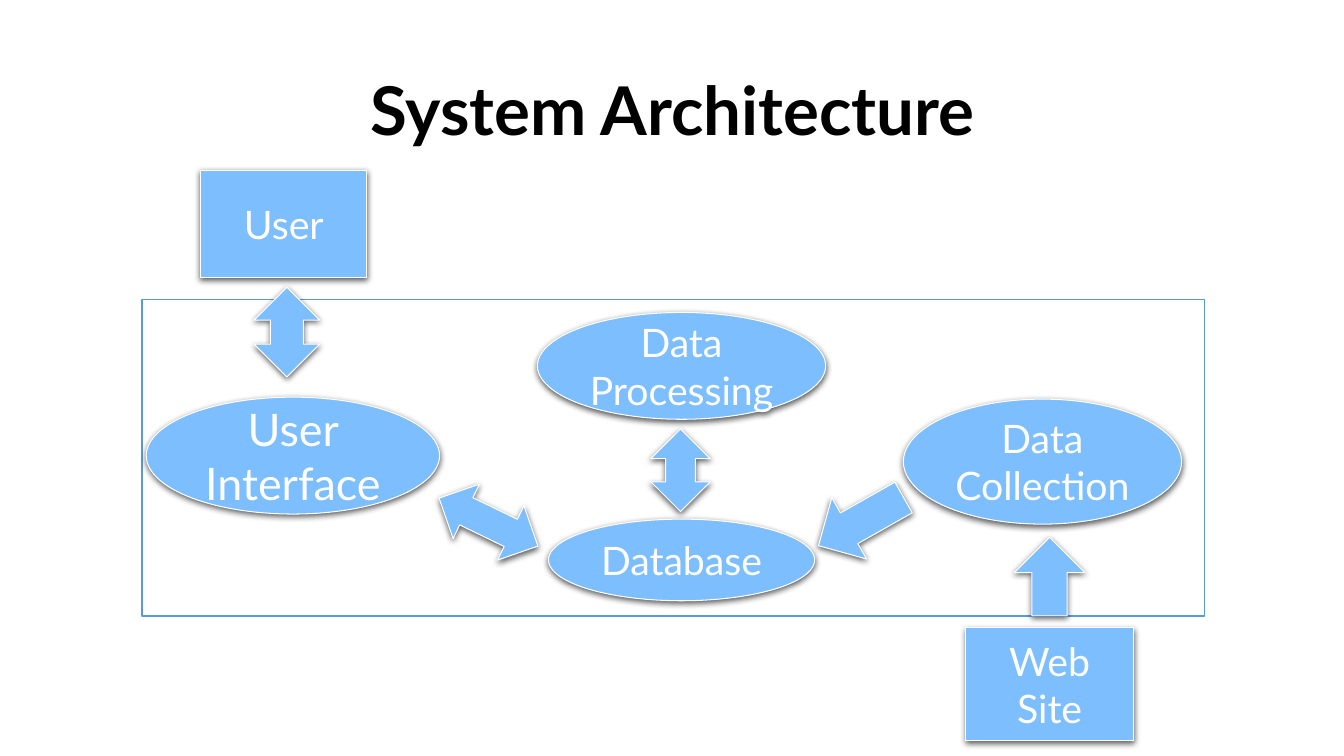
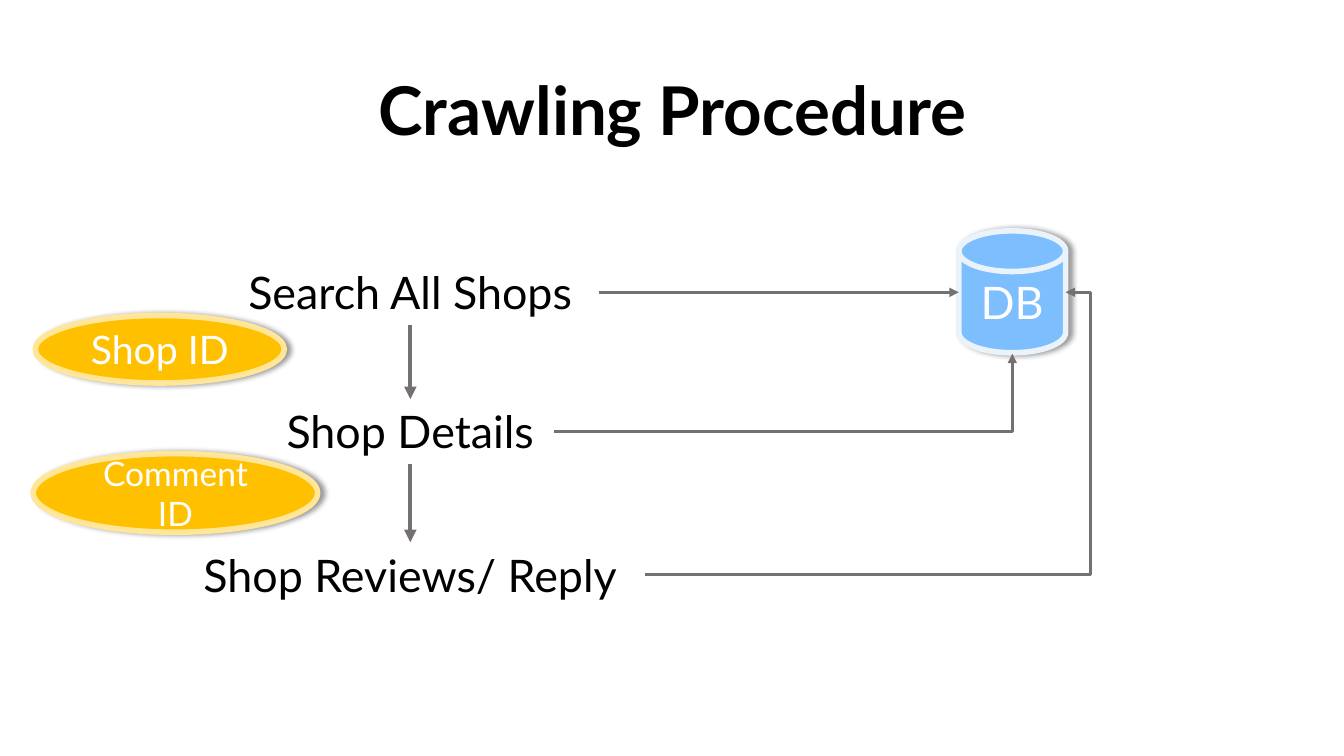
from lxml.etree import SubElement
from pptx import Presentation
from pptx.dml.color import RGBColor
from pptx.enum.shapes import MSO_CONNECTOR, MSO_SHAPE
from pptx.enum.text import MSO_ANCHOR, PP_ALIGN
from pptx.oxml.ns import qn
from pptx.util import Pt

PX = 9144
FONT = "Lato"
COLORS = {
    "black": "000000",
    "white": "FFFFFF",
    "blue": "7DBEFF",
    "frame": "5B9BD5",
    "pale_blue": "EAF2FA",
    "amber": "FFC000",
    "pale_amber": "FFE699",
    "gray": "767171",
}
SHADOWS = {
    "below": {"blur": 4.5, "distance": 1.5, "angle": 90, "opacity": 63},
    "right": {"blur": 4, "distance": 3, "angle": 0, "opacity": 40},
}


def color(name):
    return RGBColor.from_string(COLORS[name])


class Deck:
    """Holds the shared style and the current slide, and draws its elements."""

    def __init__(self, width, height):
        self.presentation = Presentation()
        self.presentation.slide_width = width * PX
        self.presentation.slide_height = height * PX
        self.slide = None

    def add_slide(self, title):
        layout = self.presentation.slide_layouts[6]
        self.slide = self.presentation.slides.add_slide(layout)
        box = self.label((92, 40, 1150, 145), title, 48, bold=True)
        box.text_frame.vertical_anchor = MSO_ANCHOR.MIDDLE
        box.text_frame.paragraphs[0].line_spacing = 0.9

    def set_text(self, shape, text, size, color_name, bold=False):
        shape.text_frame.text = text
        shape.text_frame.word_wrap = True
        for paragraph in shape.text_frame.paragraphs:
            paragraph.alignment = PP_ALIGN.CENTER
            for run in paragraph.runs:
                run.font.name = FONT
                run.font.size = Pt(size)
                run.font.bold = bold
                run.font.color.rgb = color(color_name)

    def label(self, bounds, text, size=32, bold=False):
        box = self.slide.shapes.add_textbox(*(value * PX for value in bounds))
        self.set_text(box, text, size, "black", bold)
        return box

    def shape(self, kind, bounds, text="", size=28, fill="blue", line="white",
              line_width=0.75, shadow="below", rotation=0):
        shape = self.slide.shapes.add_shape(kind, *(value * PX for value in bounds))
        shape.rotation = rotation
        shape.fill.solid()
        shape.fill.fore_color.rgb = color(fill)
        shape.line.color.rgb = color(line)
        shape.line.width = Pt(line_width)
        shape.shadow.inherit = False
        if shadow:
            self.cast_shadow(shape, **SHADOWS[shadow])
        if text:
            shape.text_frame.vertical_anchor = MSO_ANCHOR.MIDDLE
            self.set_text(shape, text, size, "white")
        return shape

    def cast_shadow(self, shape, blur, distance, angle, opacity):
        effects = shape._element.spPr.find(qn("a:effectLst"))
        outer = SubElement(effects, qn("a:outerShdw"), blurRad=str(Pt(blur)),
                           dist=str(Pt(distance)), dir=str(angle * 60000),
                           rotWithShape="0")
        tint = SubElement(outer, qn("a:srgbClr"), val=COLORS["black"])
        SubElement(tint, qn("a:alpha"), val=str(opacity * 1000))

    def arrow(self, start, end, width=2.25, kind=MSO_CONNECTOR.STRAIGHT):
        points = (value * PX for value in (*start, *end))
        connector = self.slide.shapes.add_connector(kind, *points)
        connector.line.color.rgb = color("gray")
        connector.line.width = Pt(width)
        line = connector._element.spPr.find(qn("a:ln"))
        SubElement(line, qn("a:tailEnd"), type="triangle")
        SubElement(connector._element.spPr, qn("a:effectLst"))
        return connector

    def elbow(self, start, end, preset, bend=None):
        connector = self.arrow(start, end, kind=MSO_CONNECTOR.ELBOW)
        geometry = connector._element.spPr.find(qn("a:prstGeom"))
        geometry.set("prst", preset)
        if bend:
            guides = geometry.find(qn("a:avLst"))
            SubElement(guides, qn("a:gd"), name="adj1",
                       fmla=f"val {round(bend * 100000)}")


def build_architecture(deck):
    deck.add_slide("System Architecture")
    deck.shape(MSO_SHAPE.RECTANGLE, (141, 297, 1054, 314), fill="white",
               line="frame", line_width=1, shadow=None)

    components = [
        ((145, 394, 291, 116), "User Interface", 32),
        ((533, 310, 286, 106), "Data\nProcessing", 28),
        ((544, 515, 264, 81), "Database", 28),
        ((896, 396, 276, 124), "Data\nCollection", 28),
    ]
    for bounds, text, size in components:
        deck.shape(MSO_SHAPE.OVAL, bounds, text, size)

    deck.shape(MSO_SHAPE.RECTANGLE, (199, 169, 165, 106), "User")
    deck.shape(MSO_SHAPE.RECTANGLE, (958, 623, 166, 112), "Web Site")

    flows = [
        (MSO_SHAPE.UP_ARROW, (1006, 533, 70, 78), 0),
        (MSO_SHAPE.DOWN_ARROW, (819, 469, 70, 97), 60.5),
        (MSO_SHAPE.LEFT_RIGHT_ARROW, (430, 488, 109, 60), 25.9),
        (MSO_SHAPE.LEFT_RIGHT_ARROW, (634, 437, 82, 59), 90),
        (MSO_SHAPE.LEFT_RIGHT_ARROW, (240, 297, 89, 65), 90),
    ]
    for kind, bounds, rotation in flows:
        deck.shape(kind, bounds, rotation=rotation)


def build_crawling(deck):
    deck.add_slide("Crawling Procedure")
    deck.shape(MSO_SHAPE.FLOWCHART_MAGNETIC_DISK, (951, 229, 106, 121), "DB", 32,
               line="pale_blue", line_width=4, shadow="right")

    center = 407
    steps = [
        deck.label((center - width // 2, top, width, 64), text)
        for text, top, width in [
            ("Search All Shops", 258, 374),
            ("Shop Details", 396, 284),
            ("Shop Reviews/ Reply", 538, 466),
        ]
    ]

    to_database = deck.arrow((594, 290), (951, 290))
    to_database.begin_connect(steps[0], 3)
    deck.elbow((549, 428), (1004, 351), "bentConnector2")
    deck.elbow((640, 570), (1057, 290), "bentConnector3", bend=1.06)

    for upper, lower in zip(steps, steps[1:]):
        next_step = deck.arrow((center, 322), (center, 396), width=3)
        next_step.begin_connect(upper, 2)
        next_step.end_connect(lower, 0)

    keys = [
        ((35, 313, 247, 67), "Shop ID", 28),
        ((33, 450, 282, 78), "Comment ID", 24),
    ]
    for bounds, text, size in keys:
        deck.shape(MSO_SHAPE.OVAL, bounds, text, size, fill="amber",
                   line="pale_amber", line_width=4, shadow="right")


def main():
    deck = Deck(1333, 750)
    build_architecture(deck)
    build_crawling(deck)
    deck.presentation.save("out.pptx")


if __name__ == "__main__":
    main()
